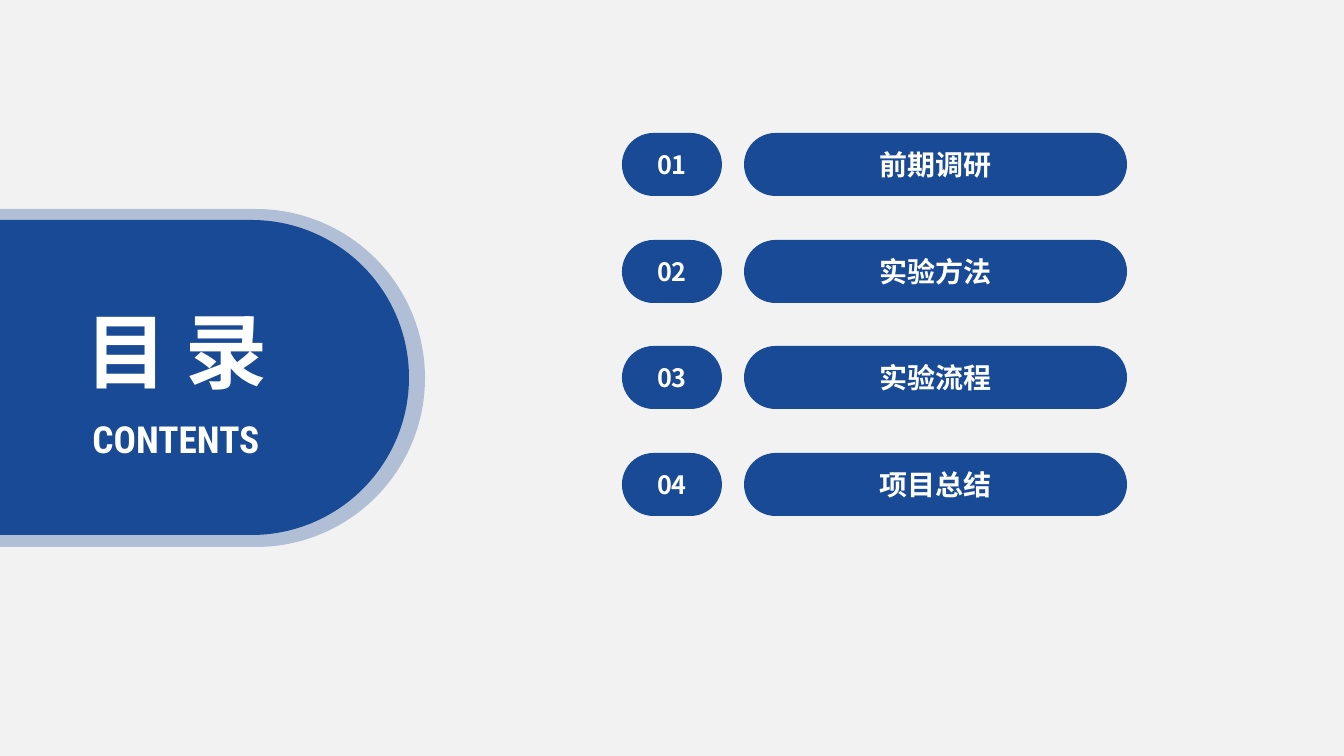
import pptx
import pptx.dml.color
import pptx.enum.shapes
import pptx.enum.text
import pptx.oxml
import pptx.oxml.ns
import pptx.util
from lxml import etree

BLUE = pptx.dml.color.RGBColor(0x19, 0x4A, 0x96)
WHITE = pptx.dml.color.RGBColor(0xFF, 0xFF, 0xFF)
PALE_GREY = pptx.dml.color.RGBColor(0xF2, 0xF2, 0xF2)

WIDTH, HEIGHT = 1344, 756
EMU_PER_PX = 12192000 / WIDTH
CHAPTERS = ["前期调研", "实验方法", "实验流程", "项目总结"]


def px(length):
    return pptx.util.Emu(round(length * EMU_PER_PX))


class ContentsPage:
    """Holds the style and the current slide."""

    cjk_font = "Noto Sans CJK SC"
    latin_font = "Roboto Condensed"

    def __init__(self, deck):
        self.page = deck.slides.add_slide(deck.slide_layouts[5])
        fill = self.page.background.fill
        fill.solid()
        fill.fore_color.rgb = PALE_GREY

    def set_text(self, box, text, size, font_name, wrap=True):
        frame = box.text_frame
        frame.text = text
        frame.word_wrap = wrap
        frame.auto_size = pptx.enum.text.MSO_AUTO_SIZE.NONE
        frame.vertical_anchor = pptx.enum.text.MSO_ANCHOR.MIDDLE
        para = frame.paragraphs[0]
        para.alignment = pptx.enum.text.PP_ALIGN.CENTER
        font = para.font
        font.size = pptx.util.Pt(size)
        font.bold = True
        font.color.rgb = WHITE
        font.name = font_name
        # East Asian typeface
        east_asian = etree.SubElement(font._rPr, pptx.oxml.ns.qn("a:ea"))
        east_asian.set("typeface", font_name)

    def pill(self, left, top, width, height, opacity=100):
        shape = self.page.shapes.add_shape(
            pptx.enum.shapes.MSO_SHAPE.ROUNDED_RECTANGLE,
            px(left), px(top), px(width), px(height))
        shape.adjustments[0] = 0.5
        shape.shadow.inherit = False
        shape.line.fill.background()
        shape.fill.solid()
        shape.fill.fore_color.rgb = BLUE
        if opacity < 100:
            color = shape._element.spPr.find(".//" + pptx.oxml.ns.qn("a:srgbClr"))
            alpha = etree.SubElement(color, pptx.oxml.ns.qn("a:alpha"))
            alpha.set("val", str(opacity * 1000))
        return shape

    def title(self, text, left, top, width, height, size):
        box = self.page.shapes.title
        box.left, box.top = px(left), px(top)
        box.width, box.height = px(width), px(height)
        self.set_text(box, text, size, self.cjk_font, wrap=False)
        # Bring the title in front of the panel
        self.page.shapes._spTree.append(box._element)

    def label(self, text, left, top, width, height, size):
        box = self.page.shapes.add_textbox(px(left), px(top), px(width), px(height))
        self.set_text(box, text, size, self.latin_font, wrap=False)


def main():
    deck = pptx.Presentation()
    deck.slide_width, deck.slide_height = px(WIDTH), px(HEIGHT)
    contents = ContentsPage(deck)

    # Left panel with its pale rim
    contents.pill(-198, 209, 623, 338, opacity=30)
    contents.pill(-171, 220, 580, 315)

    # Chapter list: number and name
    for index, chapter in enumerate(CHAPTERS):
        top = 133 + round(index * 106.67)
        number = contents.pill(622, top, 100, 63)
        contents.set_text(number, f"{index + 1:02d}", 18, contents.cjk_font)
        name = contents.pill(744, top, 383, 63)
        contents.set_text(name, chapter, 20, contents.cjk_font)

    # Heading
    contents.label("CONTENTS", 62, 411, 228, 56, 26.6)
    contents.title("目 录", 71, 295, 211, 110, 58.6)

    deck.save("out.pptx")


if __name__ == "__main__":
    main()
